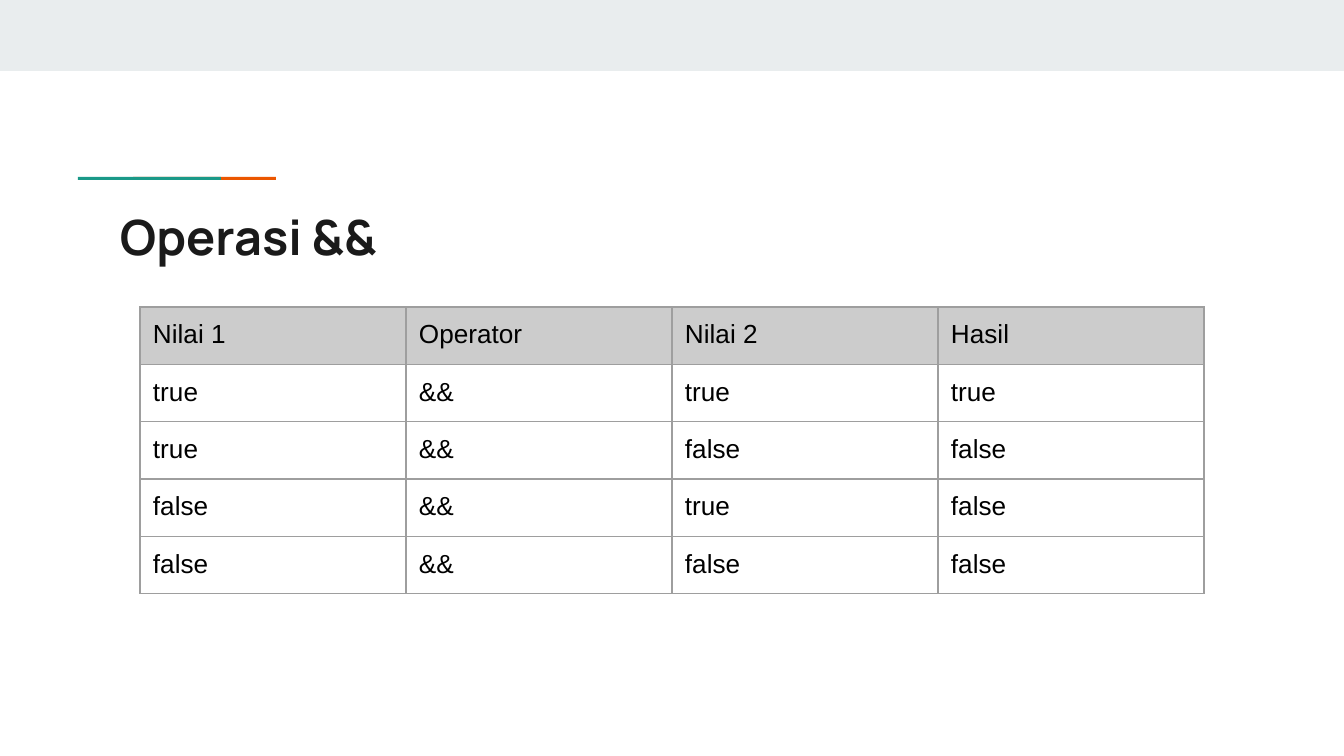
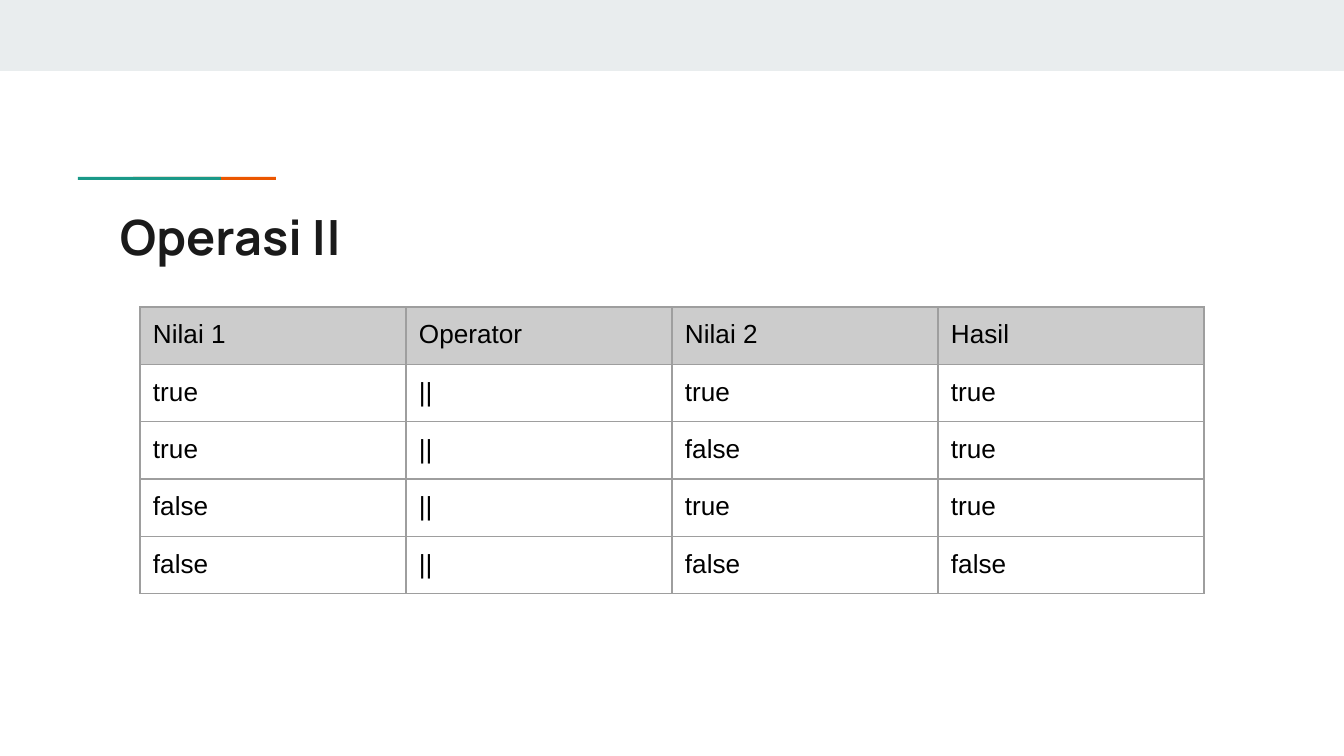
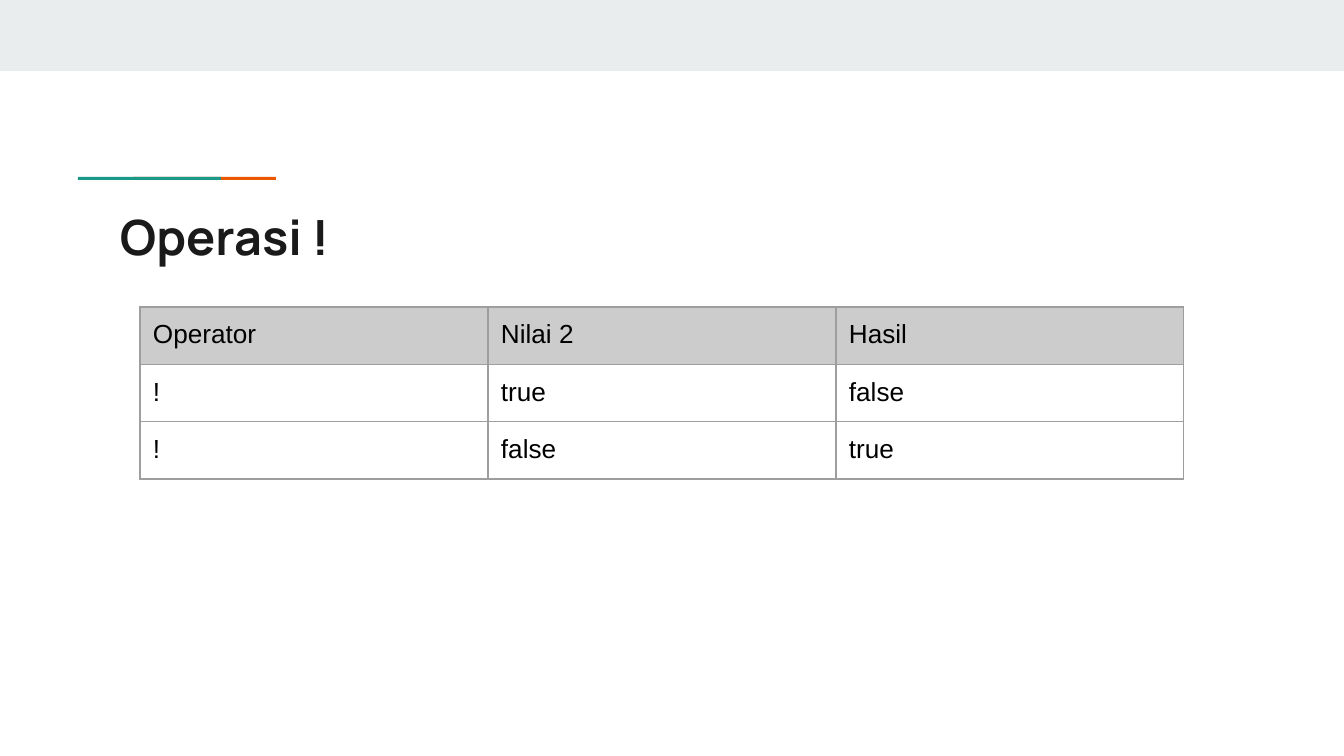
from itertools import product

from lxml.etree import SubElement
from pptx import Presentation
from pptx.dml.color import RGBColor
from pptx.enum.shapes import MSO_SHAPE
from pptx.enum.text import MSO_ANCHOR
from pptx.oxml.ns import qn
from pptx.util import Emu, Pt

SLIDE_WIDTH, SLIDE_HEIGHT = 1344, 756
EMU_PER_PX = 9144000 / SLIDE_WIDTH

BAND_GRAY = RGBColor(0xE9, 0xED, 0xEE)
ORANGE = RGBColor(0xEB, 0x56, 0x00)
TEAL = RGBColor(0x1A, 0x99, 0x88)
TITLE_INK = RGBColor(0x1A, 0x1A, 0x1A)
BLACK = RGBColor(0x00, 0x00, 0x00)
HEADER_GRAY = RGBColor(0xCC, 0xCC, 0xCC)
BORDER_GRAY = RGBColor(0x9E, 0x9E, 0x9E)

TITLE_FONT = "Manrope"
TABLE_FONT = "Arial"
INSET = 13
TABLE_LEFT, TABLE_TOP = 140, 307
ROW_HEIGHT = 56
BOOLEANS = (True, False)


def px(length):
    return Emu(round(length * EMU_PER_PX))


def add_bar(slide, left, top, width, height, color):
    bar = slide.shapes.add_shape(
        MSO_SHAPE.RECTANGLE, px(left), px(top), px(width), px(height))
    bar.shadow.inherit = False
    bar.fill.solid()
    bar.fill.fore_color.rgb = color
    bar.line.fill.background()


def set_insets(box):
    """Give a text frame or a table cell the same margin on every side."""
    box.margin_left = box.margin_right = px(INSET)
    box.margin_top = box.margin_bottom = px(INSET)


def style_paragraph(paragraph, name, size, color, bold=False):
    font = paragraph.font
    font.name = name
    font.size = Pt(size)
    font.color.rgb = color
    font.bold = bold


def add_title(slide, text):
    box = slide.shapes.add_textbox(px(107), px(194), px(1130), px(79))
    frame = box.text_frame
    frame.word_wrap = True
    frame.vertical_anchor = MSO_ANCHOR.TOP
    set_insets(frame)
    frame.text = text
    style_paragraph(frame.paragraphs[0], TITLE_FONT, 26, TITLE_INK, bold=True)


def add_titled_slide(presentation, title):
    """Add a slide with the top band, the two-colour rule and the title."""
    slide = presentation.slides.add_slide(presentation.slide_layouts[6])
    add_bar(slide, 0, 0, SLIDE_WIDTH, 71, BAND_GRAY)
    add_bar(slide, 133, 177, 143, 3, ORANGE)
    add_bar(slide, 78, 177, 143, 3, TEAL)
    add_title(slide, title)
    return slide


def set_borders(cell):
    properties = cell._tc.get_or_add_tcPr()
    for position, side in enumerate(("a:lnL", "a:lnR", "a:lnT", "a:lnB")):
        line = SubElement(properties, qn(side), w=str(Pt(0.75)))
        fill = SubElement(line, qn("a:solidFill"))
        SubElement(fill, qn("a:srgbClr"), val=str(BORDER_GRAY))
        properties.insert(position, line)


def add_truth_table(slide, rows, column_width):
    column_count = len(rows[0])
    table = slide.shapes.add_table(
        len(rows), column_count, px(TABLE_LEFT), px(TABLE_TOP),
        px(column_width * column_count), px(ROW_HEIGHT * len(rows))).table
    table.horz_banding = False
    for column in table.columns:
        column.width = px(column_width)
    for row_index, values in enumerate(rows):
        table.rows[row_index].height = px(ROW_HEIGHT)
        for column_index, value in enumerate(values):
            cell = table.cell(row_index, column_index)
            cell.text = value
            set_insets(cell)
            style_paragraph(cell.text_frame.paragraphs[0], TABLE_FONT, 14, BLACK)
            if row_index == 0:
                cell.fill.solid()
                cell.fill.fore_color.rgb = HEADER_GRAY
            else:
                cell.fill.background()
            set_borders(cell)


def word(value):
    return "true" if value else "false"


def binary_rows(symbol, combine):
    """List the truth table of an operator that takes two values."""
    header = ("Nilai 1", "Operator", "Nilai 2", "Hasil")
    return [header] + [
        (word(first), symbol, word(second), word(combine((first, second))))
        for first, second in product(BOOLEANS, repeat=2)]


def negation_rows():
    header = ("Operator", "Nilai 2", "Hasil")
    return [header] + [("!", word(value), word(not value)) for value in BOOLEANS]


def main():
    presentation = Presentation()
    presentation.slide_width = px(SLIDE_WIDTH)
    presentation.slide_height = px(SLIDE_HEIGHT)
    operations = (
        ("&&", binary_rows("&&", all), 266),
        ("||", binary_rows("||", any), 266),
        ("!", negation_rows(), 348),
    )
    for symbol, rows, column_width in operations:
        slide = add_titled_slide(presentation, f"Operasi {symbol}")
        add_truth_table(slide, rows, column_width)
    presentation.save("out.pptx")


if __name__ == "__main__":
    main()
